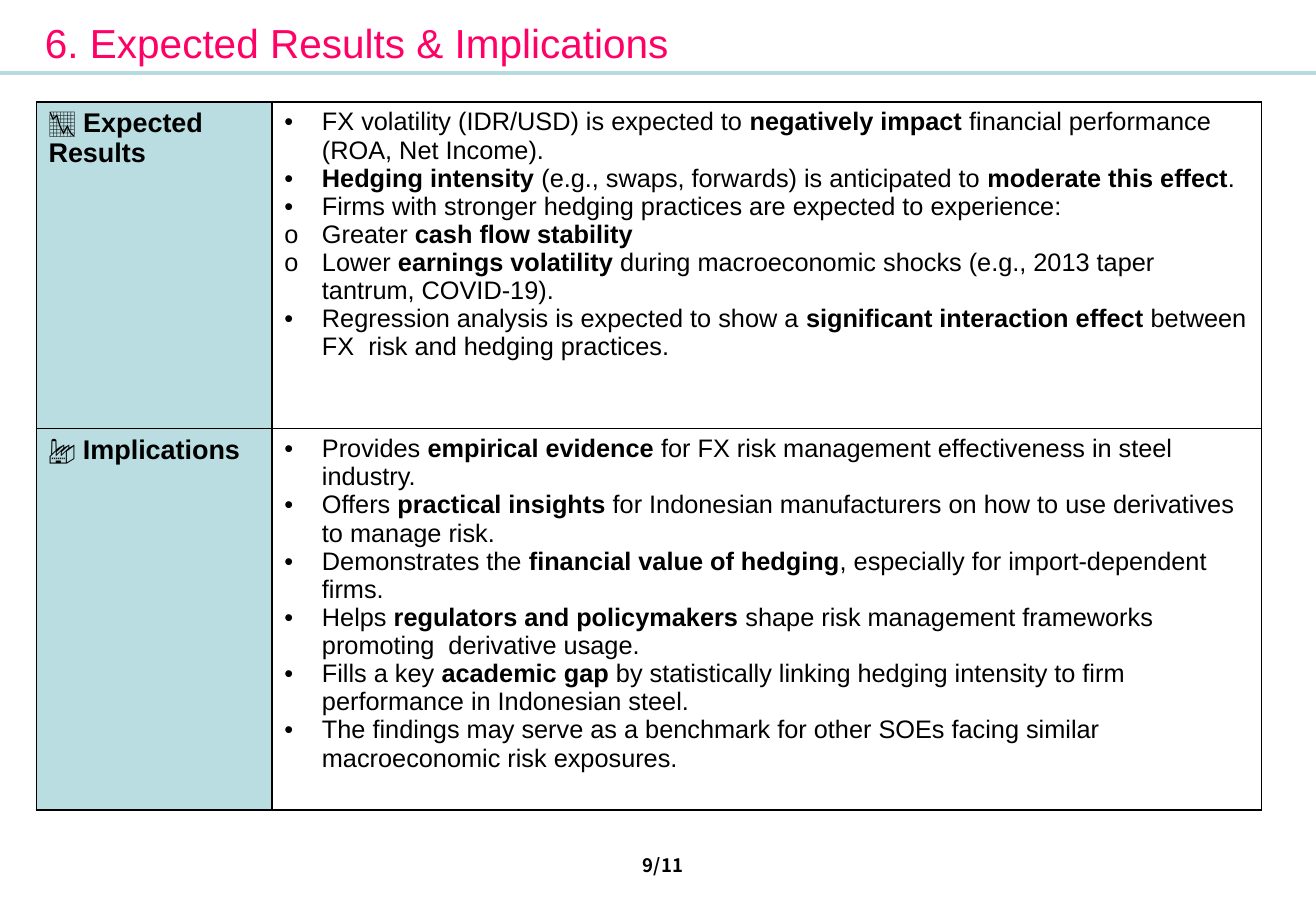
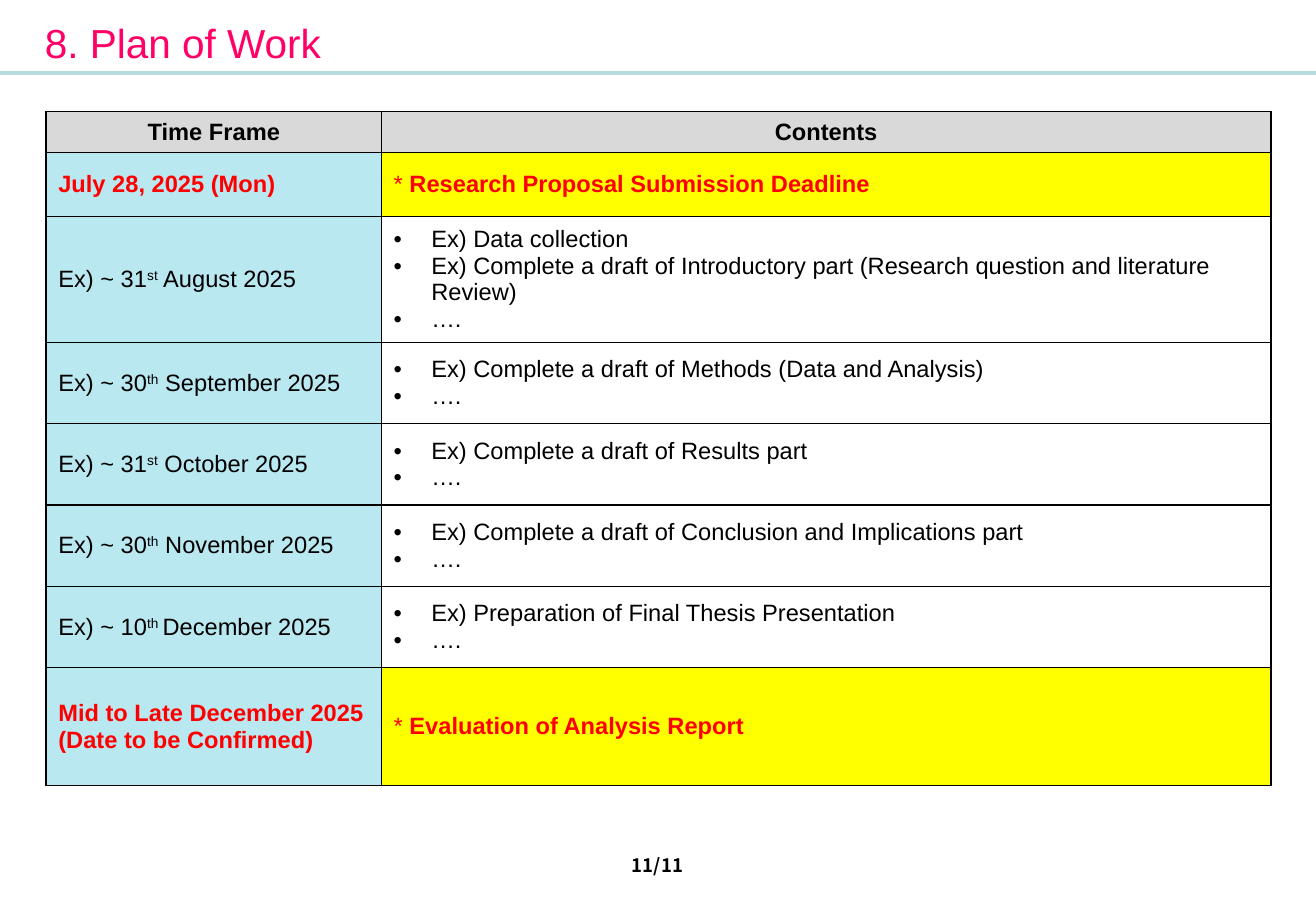
import lxml.etree
import pptx
import pptx.dml.color
import pptx.enum.shapes
import pptx.enum.text
import pptx.oxml
import pptx.oxml.ns
import pptx.util

Inches = pptx.util.Inches
Align = pptx.enum.text.PP_ALIGN
Anchor = pptx.enum.text.MSO_ANCHOR
AutoSize = pptx.enum.text.MSO_AUTO_SIZE
qn = pptx.oxml.ns.qn

BLACK, WHITE, RED, YELLOW = "000000", "FFFFFF", "FF0000", "FFFF00"
PINK, RULE, TEAL, SKY, GREY = "FF0066", "B6DCDF", "BADDE1", "B9E8F1", "D9D9D9"
BULLETS = ("• ", "o ")


def colour(code):
    return pptx.dml.color.RGBColor.from_string(code)


def apply(target, values):
    for name, value in values.items():
        setattr(target, name, value)


class Deck:
    """Shared style, plus the slide now being filled."""

    width, height = 10.83, 7.5
    page_count = 11
    font = "Arial"
    number_font = "Noto Sans CJK KR"

    def __init__(self):
        self.file = pptx.Presentation()
        apply(self.file, {"slide_width": Inches(self.width),
                          "slide_height": Inches(self.height)})
        self.page = None

    def start_page(self, title, number):
        self.page = self.file.slides.add_slide(self.file.slide_layouts[5])
        self.rule()
        self.title(title)
        self.page_number(number)

    def rule(self):
        line = self.page.shapes.add_connector(
            pptx.enum.shapes.MSO_CONNECTOR.STRAIGHT,
            0, Inches(0.6), Inches(self.width), Inches(0.6))
        line.line.color.rgb = colour(RULE)
        line.line.width = pptx.util.Pt(2.25)
        lxml.etree.SubElement(line._element.spPr, qn("a:effectLst"))

    def title(self, text):
        box = self.page.shapes.title
        apply(box, {"left": Inches(0.27), "top": Inches(0.13),
                    "width": Inches(7.03), "height": Inches(0.44)})
        apply(box.text_frame, {"vertical_anchor": Anchor.MIDDLE,
                               "auto_size": AutoSize.NONE, "word_wrap": True})
        self.fill_text(box.text_frame, [text], size=24, ink=PINK)

    def page_number(self, number):
        text = f"{number}/{self.page_count}"
        width = 0.18 + 0.09 * len(text)
        box = self.page.shapes.add_textbox(
            Inches(5.72 - width), Inches(6.98), Inches(width), Inches(0.29))
        apply(box.text_frame, {"word_wrap": False,
                               "auto_size": AutoSize.SHAPE_TO_FIT_TEXT})
        self.fill_text(box.text_frame, [text], size=11, bold=True,
                       font=self.number_font, align=Align.RIGHT)

    def fill_text(self, frame, lines, size, ink=BLACK, bold=False, font=font,
                  align=Align.LEFT):
        """Fill a frame: ** switches bold, ^ switches superscript."""
        for index, line in enumerate(lines):
            para = frame.add_paragraph() if index else frame.paragraphs[0]
            para.alignment = align
            if line.startswith(BULLETS):
                self.bullet(para, line[0])
                line = line[2:]
            for bold_turn, part in enumerate(line.split("**")):
                for raised, text in enumerate(part.split("^")):
                    if not text:
                        continue
                    span = para.add_run()
                    span.text = text
                    apply(span.font, {"name": font, "size": pptx.util.Pt(size),
                                      "bold": bold or bold_turn % 2 == 1})
                    span.font.color.rgb = colour(ink)
                    if raised % 2:
                        span._r.get_or_add_rPr().set("baseline", "30000")

    def bullet(self, para, mark):
        properties = para._p.get_or_add_pPr()
        indent = Inches(0.31)
        properties.set("marL", str(indent))
        properties.set("indent", str(-indent))
        lxml.etree.SubElement(properties, qn("a:buFont")).set("typeface", self.font)
        lxml.etree.SubElement(properties, qn("a:buChar")).set("char", mark)

    def border(self, cell):
        properties = cell._tc.get_or_add_tcPr()
        for index, side in enumerate(("lnL", "lnR", "lnT", "lnB")):
            properties.insert(index, pptx.oxml.parse_xml(
                f'<a:{side} {pptx.oxml.ns.nsdecls("a")} w="12700"><a:solidFill>'
                f'<a:srgbClr val="{BLACK}"/></a:solidFill></a:{side}>'))

    def table(self, left, top, columns, heights, rows, anchor):
        """Each cell is (lines, fill, text format)."""
        grid = self.page.shapes.add_table(
            len(heights), len(columns), Inches(left), Inches(top),
            Inches(sum(columns)), Inches(sum(heights))).table
        apply(grid, {"first_row": False, "horz_banding": False})
        for column, width in zip(grid.columns, columns):
            column.width = Inches(width)
        for row, height, contents in zip(grid.rows, heights, rows):
            row.height = Inches(height)
            for cell, (lines, fill, style) in zip(row.cells, contents):
                cell.vertical_anchor = anchor
                cell.fill.solid()
                cell.fill.fore_color.rgb = colour(fill)
                self.border(cell)
                self.fill_text(cell.text_frame, lines, **style)


def results_page(deck):
    deck.start_page("6. Expected Results & Implications", 9)
    sections = {
        "📉 Expected Results": [
            "• FX volatility (IDR/USD) is expected to **negatively impact **financial "
            "performance (ROA, Net Income).",
            "• **Hedging intensity** (e.g., swaps, forwards) is anticipated to "
            "**moderate this effect**.",
            "• Firms with stronger hedging practices are expected to experience:",
            "o Greater **cash flow stability**",
            "o Lower **earnings volatility **during macroeconomic shocks "
            "(e.g., 2013 taper tantrum, COVID-19).",
            "• Regression analysis is expected to show a **significant interaction "
            "effect** between FX  risk and hedging practices.",
        ],
        "🏭 Implications": [
            "• Provides **empirical evidence** for FX risk management effectiveness "
            "in steel industry.",
            "• Offers **practical insights** for Indonesian manufacturers on how to "
            "use derivatives to manage risk.",
            "• Demonstrates the **financial value of hedging**, especially for "
            "import-dependent firms.",
            "• Helps **regulators and policymakers** shape risk management frameworks "
            "promoting  derivative usage.",
            "• Fills a key **academic gap** by statistically linking hedging intensity "
            "to firm performance in Indonesian steel.",
            "• The findings may serve as a benchmark for other SOEs facing similar "
            "macroeconomic risk exposures.",
        ],
    }
    rows = [[([heading], TEAL, {"size": 16, "bold": True}),
             (points, WHITE, {"size": 15})]
            for heading, points in sections.items()]
    deck.table(0.3, 0.84, [1.94, 8.14], [2.69, 3.14], rows, Anchor.TOP)


def plan_page(deck):
    deck.start_page("8. Plan of Work", 11)
    plain = {"size": 14}
    header = {"size": 14, "bold": True, "align": Align.CENTER}
    alert = {"size": 14, "ink": RED}

    def milestone(dates, event):
        return [([f"**{date}**" for date in dates], SKY, alert),
                ([f"* **{event}**"], YELLOW, alert)]

    # Monthly steps: due date and tasks, each list left open at its end
    steps = [
        ("31^st^ August", ["Data collection", "Complete a draft of Introductory part "
                           "(Research question and literature Review)"]),
        ("30^th^ September", ["Complete a draft of Methods (Data and Analysis)"]),
        ("31^st^ October", ["Complete a draft of Results part"]),
        ("30^th^ November", ["Complete a draft of Conclusion and Implications part"]),
        ("10^th ^December", ["Preparation of Final Thesis Presentation"]),
    ]
    rows = [
        [([name], GREY, header) for name in ("Time Frame", "Contents")],
        milestone(["July 28, 2025 (Mon)"], "Research Proposal Submission Deadline"),
        *[[([f"Ex) ~ {date} 2025"], SKY, plain),
           ([f"• Ex) {task}" for task in tasks] + ["• …."], WHITE, plain)]
          for date, tasks in steps],
        milestone(["Mid to Late December 2025", "(Date to be Confirmed)"],
                  "Evaluation of Analysis Report"),
    ]
    heights = [0.32, 0.53, 0.99] + [0.67] * 4 + [0.97]
    deck.table(0.38, 0.92, [2.76, 7.32], heights, rows, Anchor.MIDDLE)


def main():
    deck = Deck()
    results_page(deck)
    plan_page(deck)
    deck.file.save("out.pptx")


if __name__ == "__main__":
    main()
